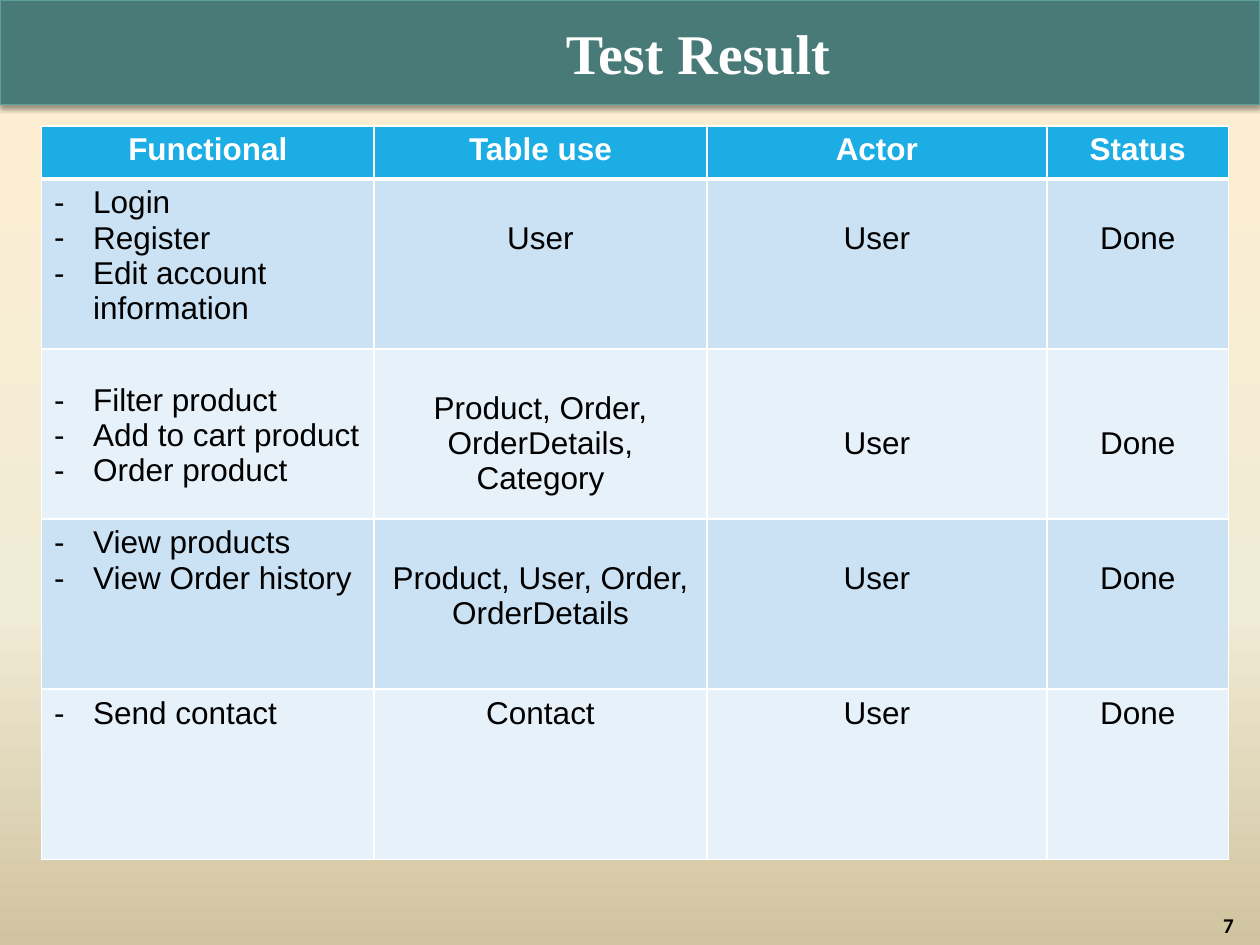
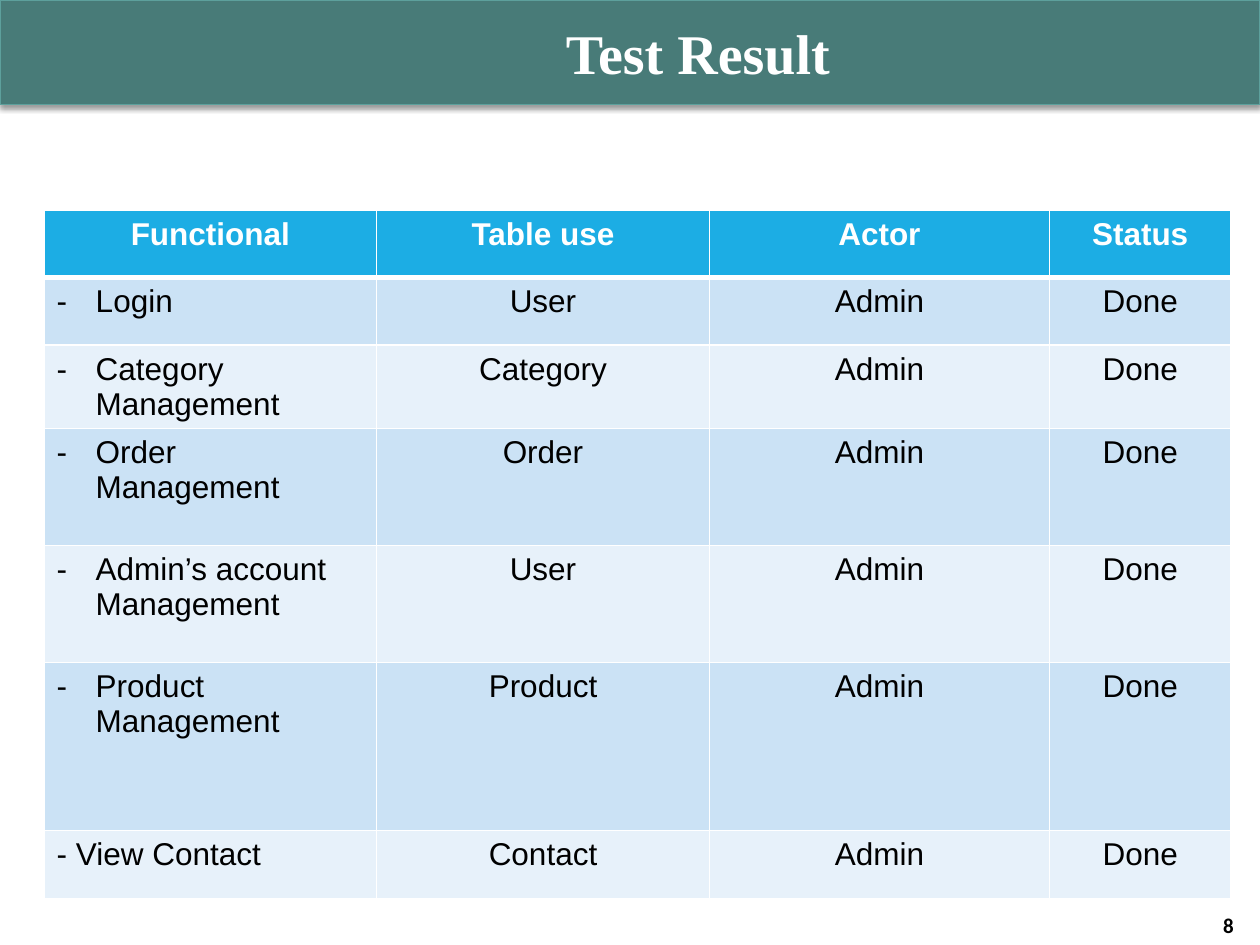
from dataclasses import dataclass

from lxml import etree
from pptx import Presentation
from pptx.dml.color import RGBColor
from pptx.enum.shapes import MSO_SHAPE
from pptx.enum.text import MSO_ANCHOR, MSO_AUTO_SIZE, PP_ALIGN
from pptx.oxml.ns import qn
from pptx.util import Inches, Pt

RECT = MSO_SHAPE.RECTANGLE
MIDDLE = MSO_ANCHOR.MIDDLE
NO_FIT = MSO_AUTO_SIZE.NONE
LEFT, CENTER, RIGHT = PP_ALIGN.LEFT, PP_ALIGN.CENTER, PP_ALIGN.RIGHT

# Content: a list of functions is bulleted, a string is plain text.
# "lead" is the empty height above each cell's text, in points of type.
TITLE = "Test Result"
HEADERS = ("Functional", "Table use", "Actor", "Status")
NO_LEAD = (0, 0, 0, 0)
SLIDES = [
    {
        "number": 7,
        "gradient": [(0, "FFEFD1"), (65, "F0EBD5"), (100, "D1C39F")],
        "at": (0.33, 1),
        "actor": "User",
        "heights": (0.42, 1.35, 1.35, 1.35, 1.35),
        "rows": [
            (["Login", "Register", "Edit account information"], "User", (0, 18, 18, 18)),
            (["Filter product", "Add to cart product", "Order product"],
             "Product, Order, OrderDetails, Category", (14, 18, 36, 36)),
            (["View products", "View Order history"],
             "Product, User, Order, OrderDetails", (0, 18, 18, 18)),
            (["Send contact"], "Contact", NO_LEAD),
        ],
    },
    {
        "number": 8,
        "gradient": None,
        "at": (0.35, 1.67),
        "actor": "Admin",
        "heights": (0.53, 0.54, 0.54, 0.93, 0.93, 1.33, 0.54),
        "rows": [
            (["Login"], "User", NO_LEAD),
            (["Category Management"], "Category", NO_LEAD),
            (["Order Management"], "Order", NO_LEAD),
            (["Admin’s account Management"], "User", NO_LEAD),
            (["Product Management"], "Product", NO_LEAD),
            ("- View Contact", "Contact", NO_LEAD),
        ],
    },
]
STATUS = "Done"
COL_WIDTHS = (2.64, 2.64, 2.7, 1.44)
LINE_HEIGHT = 1.12
BULLET_INDENT = Inches(0.31)


@dataclass(frozen=True)
class Theme:
    band: str = "487B78"
    band_line: str = "5DA09C"
    header: str = "1CADE4"
    stripes: tuple = ("CBE2F5", "E7F1FA")
    white: str = "FFFFFF"
    black: str = "000000"
    title_font: str = "Times New Roman"
    table_font: str = "Arial"
    number_font: str = "Calibri"
    title_size: int = 32
    table_size: int = 18
    number_size: int = 12


T = Theme()


def rgb(code):
    return RGBColor.from_string(code)


def add_xml(parent, tag, **attrs):
    return etree.SubElement(parent, qn(tag), {k: str(v) for k, v in attrs.items()})


def format_text(p, font, size, color, bold, align):
    p.alignment = align
    for r in p.runs:
        r.font.name, r.font.size, r.font.bold = font, Pt(size), bold
        r.font.color.rgb = rgb(color)


# Shared slide parts
def set_background(slide, stops):
    fill = slide.background.fill
    if not stops:
        fill.solid()
        fill.fore_color.rgb = rgb(T.white)
        return
    fill.gradient()
    fill.gradient_angle = 270
    gs_list = next(slide.element.iter(qn("a:gsLst")))
    for gs in list(gs_list):
        gs_list.remove(gs)
    for position, color in stops:
        gs = add_xml(gs_list, "a:gs", pos=position * 1000)
        add_xml(gs, "a:srgbClr", val=color)


def add_band(slide):
    sp = slide.shapes.add_shape(RECT, 0, 0, Inches(10), Inches(0.83))
    sp.fill.solid()
    sp.fill.fore_color.rgb = rgb(T.band)
    sp.line.color.rgb = rgb(T.band_line)
    sp.line.width = Pt(0.75)
    sp.shadow.inherit = False
    effects = next(sp.element.iter(qn("a:effectLst")))
    shadow = add_xml(effects, "a:outerShdw", blurRad=Pt(3.1), dist=Pt(1.6),
                     dir=90 * 60000, rotWithShape=0)
    add_xml(add_xml(shadow, "a:srgbClr", val=T.black), "a:alpha", val=38000)


def set_title(slide):
    sp = slide.shapes.title
    sp.left, sp.top = Inches(0.33), Inches(0.08)
    sp.width, sp.height = Inches(9.42), Inches(0.67)
    tf = sp.text_frame
    tf.text = TITLE
    tf.word_wrap, tf.auto_size, tf.vertical_anchor = True, NO_FIT, MIDDLE
    tf.margin_left = Inches(1.1)
    format_text(tf.paragraphs[0], T.title_font, T.title_size, T.white, True, CENTER)
    slide.shapes.element.append(sp.element)  # bring in front of the band


def add_number(slide, number):
    sp = slide.shapes.add_textbox(Inches(0.12), Inches(7.25), Inches(9.77), Inches(0.18))
    tf = sp.text_frame
    tf.text = str(number)
    tf.word_wrap, tf.auto_size, tf.vertical_anchor = True, NO_FIT, MIDDLE
    format_text(tf.paragraphs[0], T.number_font, T.number_size, T.black, True, RIGHT)


# Result table
def add_borders(cell, top, bottom):
    tc_pr = cell._tc.get_or_add_tcPr()
    for side, width in (("L", 1), ("R", 1), ("T", top), ("B", bottom)):
        ln = add_xml(tc_pr, f"a:ln{side}", w=Pt(width))
        add_xml(add_xml(ln, "a:solidFill"), "a:srgbClr", val=T.white)


def add_bullet(p):
    p_pr = p._p.get_or_add_pPr()
    p_pr.set("marL", str(BULLET_INDENT))
    p_pr.set("indent", str(-BULLET_INDENT))
    add_xml(add_xml(p_pr, "a:buClr"), "a:srgbClr", val=T.black)
    add_xml(p_pr, "a:buFont", typeface=T.table_font)
    add_xml(p_pr, "a:buChar", char="-")


def fill_cell(cell, content, row, col, lead):
    is_header = row == 0
    add_borders(cell, 3 if row == 1 else 1, 3 if is_header else 1)
    cell.fill.solid()
    cell.fill.fore_color.rgb = rgb(T.header if is_header else T.stripes[(row - 1) % 2])
    cell.margin_top = Inches(0.05) + Pt(lead * LINE_HEIGHT)
    bulleted = isinstance(content, list)
    tf = cell.text_frame
    tf.text = "\n".join(content) if bulleted else content
    align = CENTER if is_header or col > 0 else LEFT
    color = T.white if is_header else T.black
    for p in tf.paragraphs:
        format_text(p, T.table_font, T.table_size, color, is_header, align)
        if bulleted:
            add_bullet(p)


def add_result_table(slide, data):
    rows = [(HEADERS, NO_LEAD)]
    rows += [((functions, tables, data["actor"], STATUS), lead)
             for functions, tables, lead in data["rows"]]
    left, top = data["at"]
    table = slide.shapes.add_table(
        len(rows), len(HEADERS), Inches(left), Inches(top),
        Inches(sum(COL_WIDTHS)), Inches(sum(data["heights"]))).table
    for column, width in zip(table.columns, COL_WIDTHS):
        column.width = Inches(width)
    for i, (values, leads) in enumerate(rows):
        table.rows[i].height = Inches(data["heights"][i])
        for j, (value, lead) in enumerate(zip(values, leads)):
            fill_cell(table.cell(i, j), value, i, j, lead)


def main():
    prs = Presentation()
    prs.slide_width, prs.slide_height = Inches(10), Inches(7.5)
    title_only = prs.slide_layouts[5]
    for data in SLIDES:
        slide = prs.slides.add_slide(title_only)
        set_background(slide, data["gradient"])
        add_band(slide)
        add_number(slide, data["number"])
        add_result_table(slide, data)
        set_title(slide)
    prs.save("out.pptx")


if __name__ == "__main__":
    main()
